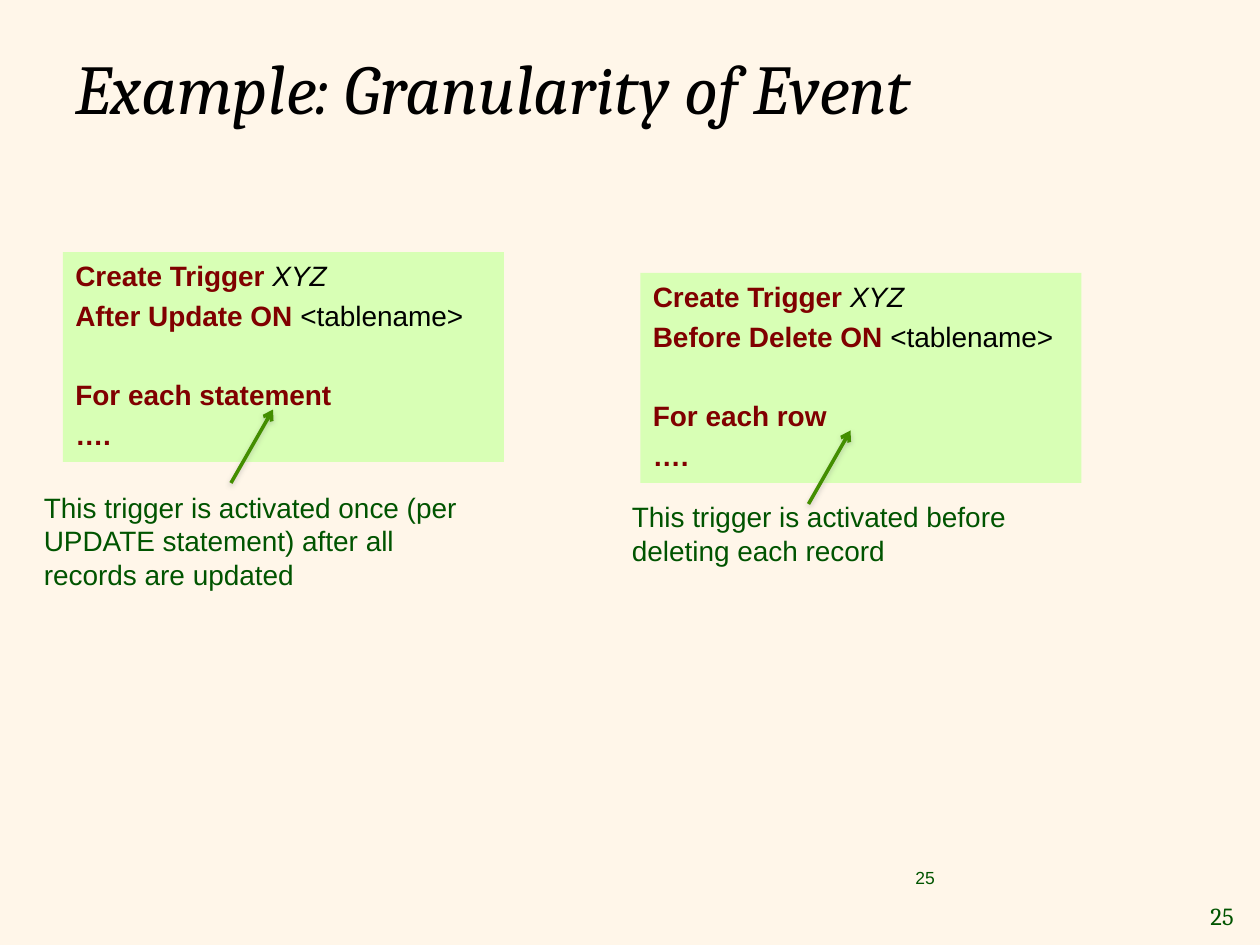
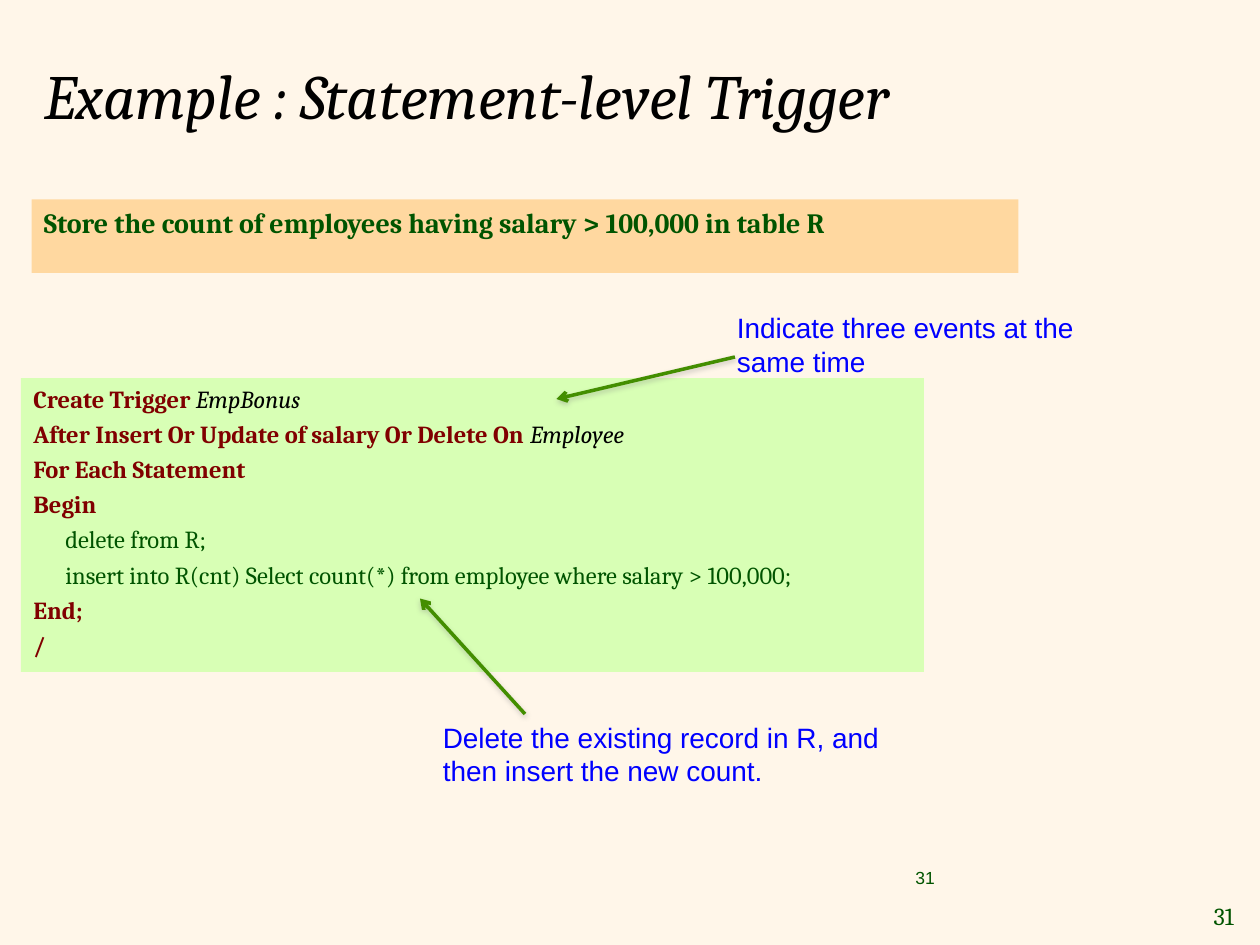
import lxml.etree
import pptx
import pptx.dml.color
import pptx.enum.shapes
import pptx.enum.text
import pptx.oxml
import pptx.oxml.ns
import pptx.util
from dataclasses import dataclass

Pt = pptx.util.Pt
RGB = pptx.dml.color.RGBColor.from_string


@dataclass(frozen=True)
class Theme:
    background: str = "FFF6E9"
    code_fill: str = "D8FFB5"
    task_fill: str = "FFD8A0"
    black: str = "000000"
    keyword: str = "800000"
    green: str = "005400"
    blue: str = "0000FF"
    arrow: str = "438E00"
    sans: str = "Arial"
    serif: str = "Cambria"
    body_size: int = 16
    code_size: int = 14
    page_size: int = 14
    footer_size: int = 10
    line_gap: float = 0.23


theme = Theme()
KEYWORD = (theme.keyword, True, False)
NAME = (theme.black, False, True)
PLAIN = (theme.black, False, False)
GREEN = (theme.green, False, False)
GREEN_BOLD = (theme.green, True, False)
BLUE = (theme.blue, False, False)


def add_text(slide, box, lines, font, size, fill=None, gap=0.0, indented=(), gap_before=None):
    lengths = [Pt(value) for value in box]
    if fill:
        shape = slide.shapes.add_shape(pptx.enum.shapes.MSO_SHAPE.RECTANGLE, *lengths)
        shape.shadow.inherit = False
        shape.fill.solid()
        shape.fill.fore_color.rgb = RGB(fill)
        shape.line.fill.background()
    else:
        shape = slide.shapes.add_textbox(*lengths)
    frame = shape.text_frame
    frame.word_wrap = True
    frame.vertical_anchor = pptx.enum.text.MSO_ANCHOR.TOP
    for index, line in enumerate(lines):
        paragraph = frame.paragraphs[0] if index == 0 else frame.add_paragraph()
        paragraph.alignment = pptx.enum.text.PP_ALIGN.LEFT
        paragraph.font.name = font
        paragraph.font.size = Pt(size)
        paragraph.space_before = Pt(gap_before if index == 3 and gap_before else gap * size)
        if index in indented:
            paragraph._p.get_or_add_pPr().set("marL", str(Pt(18.3)))
        for text, (color, bold, italic) in line:
            run = paragraph.add_run()
            run.text = text
            run.font.name = font
            run.font.size = Pt(size)
            run.font.color.rgb = RGB(color)
            run.font.bold = bold
            run.font.italic = italic
    return shape


def add_arrow(slide, start, end):
    connector = slide.shapes.add_connector(
        pptx.enum.shapes.MSO_CONNECTOR.STRAIGHT, *(Pt(value) for value in start + end))
    connector.line.color.rgb = RGB(theme.arrow)
    connector.line.width = Pt(2)
    tail = lxml.etree.SubElement(connector.line._get_or_add_ln(), pptx.oxml.ns.qn("a:tailEnd"))
    tail.set("type", "arrow")
    connector._element.spPr.append(pptx.oxml.parse_xml(
        f'<a:effectLst {pptx.oxml.ns.nsdecls("a")}>'
        f'<a:outerShdw blurRad="{Pt(3.1)}" dist="{Pt(1.6)}" dir="5400000" rotWithShape="0">'
        '<a:srgbClr val="808080"><a:alpha val="38000"/></a:srgbClr>'
        '</a:outerShdw></a:effectLst>'))


presentation = pptx.Presentation()
presentation.slide_width = Pt(720)
presentation.slide_height = Pt(540)
master_fill = presentation.slide_master.background.fill
master_fill.solid()
master_fill.fore_color.rgb = RGB(theme.background)
title_only = presentation.slide_layouts[5]

slides = []
for title_text, title_size, title_box, page in [
    ("Example: Granularity of Event", 40, (36, 9.4, 594, 80.6), "25"),
    ("Example : Statement-level Trigger", 36, (18, 6, 612, 96), "31"),
]:
    slide = presentation.slides.add_slide(title_only)
    slides.append(slide)
    title = slide.shapes.title
    title.left, title.top, title.width, title.height = (Pt(value) for value in title_box)
    title.text_frame.text = title_text
    title.text_frame.vertical_anchor = pptx.enum.text.MSO_ANCHOR.MIDDLE
    paragraph = title.text_frame.paragraphs[0]
    paragraph.alignment = pptx.enum.text.PP_ALIGN.LEFT
    paragraph.font.name = theme.serif
    paragraph.font.size = Pt(title_size)
    paragraph.font.italic = True
    paragraph.font.color.rgb = RGB(theme.black)
    page_number = add_text(slide, (680.4, 511.2, 31.7, 23.8), [[(page, GREEN)]],
                           theme.serif, theme.page_size)
    page_number.text_frame.paragraphs[0].alignment = pptx.enum.text.PP_ALIGN.RIGHT
    page_number.text_frame.vertical_anchor = pptx.enum.text.MSO_ANCHOR.MIDDLE
    add_text(slide, (516, 492, 168, 36), [[(page, GREEN)]], theme.sans, theme.footer_size)

granularity, statement_level = slides

for left, top, event, scope, note, note_left, note_top, note_height in [
    (36, 144, "After Update ON ", "For each statement",
     "This trigger is activated once (per UPDATE statement) after all records are updated",
     18, 276.5, 65.5),
    (366, 156, "Before Delete ON ", "For each row",
     "This trigger is activated before deleting each record", 354, 282, 46),
]:
    code = [
        [("Create Trigger ", KEYWORD), ("XYZ", NAME)],
        [(event, KEYWORD), ("<tablename>", PLAIN)],
        [(scope, KEYWORD)],
        [("….", KEYWORD)],
    ]
    trigger = add_text(granularity, (left, top, 252, 120), code, theme.sans, theme.body_size,
                       theme.code_fill, theme.line_gap)
    trigger.text_frame.paragraphs[2].space_before = Pt(26)
    add_arrow(granularity, (left + 96, top + 132), (left + 120, top + 90))
    add_text(granularity, (note_left, note_top, 252, note_height), [[(note, GREEN)]],
             theme.sans, theme.body_size)

add_text(statement_level, (18, 114, 564, 42),
         [[("Store the count of employees having salary > 100,000 in table R", GREEN_BOLD)]],
         theme.serif, theme.body_size, theme.task_fill, theme.line_gap)

bonus_code = [
    [("Create Trigger ", KEYWORD), ("EmpBonus", NAME)],
    [("After Insert Or Update of salary Or Delete On ", KEYWORD), ("Employee", NAME)],
    [("For Each Statement", KEYWORD)],
    [("Begin", KEYWORD)],
    [("delete from R;", GREEN)],
    [("insert into R(cnt) Select count(*) from employee where salary > 100,000;", GREEN)],
    [("End;", KEYWORD)],
    [("/", KEYWORD)],
]
add_text(statement_level, (12, 216, 516, 168), bonus_code, theme.serif, theme.code_size,
         theme.code_fill, theme.line_gap, indented=(4, 5))

for start, end, note_box, note in [
    ((300, 408), (240, 342), (246, 408, 273.6, 65.5),
     "Delete the existing record in R, and then insert the new count."),
    ((420, 204), (318, 228), (414, 174, 210, 46), "Indicate three events at the same time"),
]:
    add_arrow(statement_level, start, end)
    add_text(statement_level, note_box, [[(note, BLUE)]], theme.sans, theme.body_size)

presentation.save("out.pptx")
